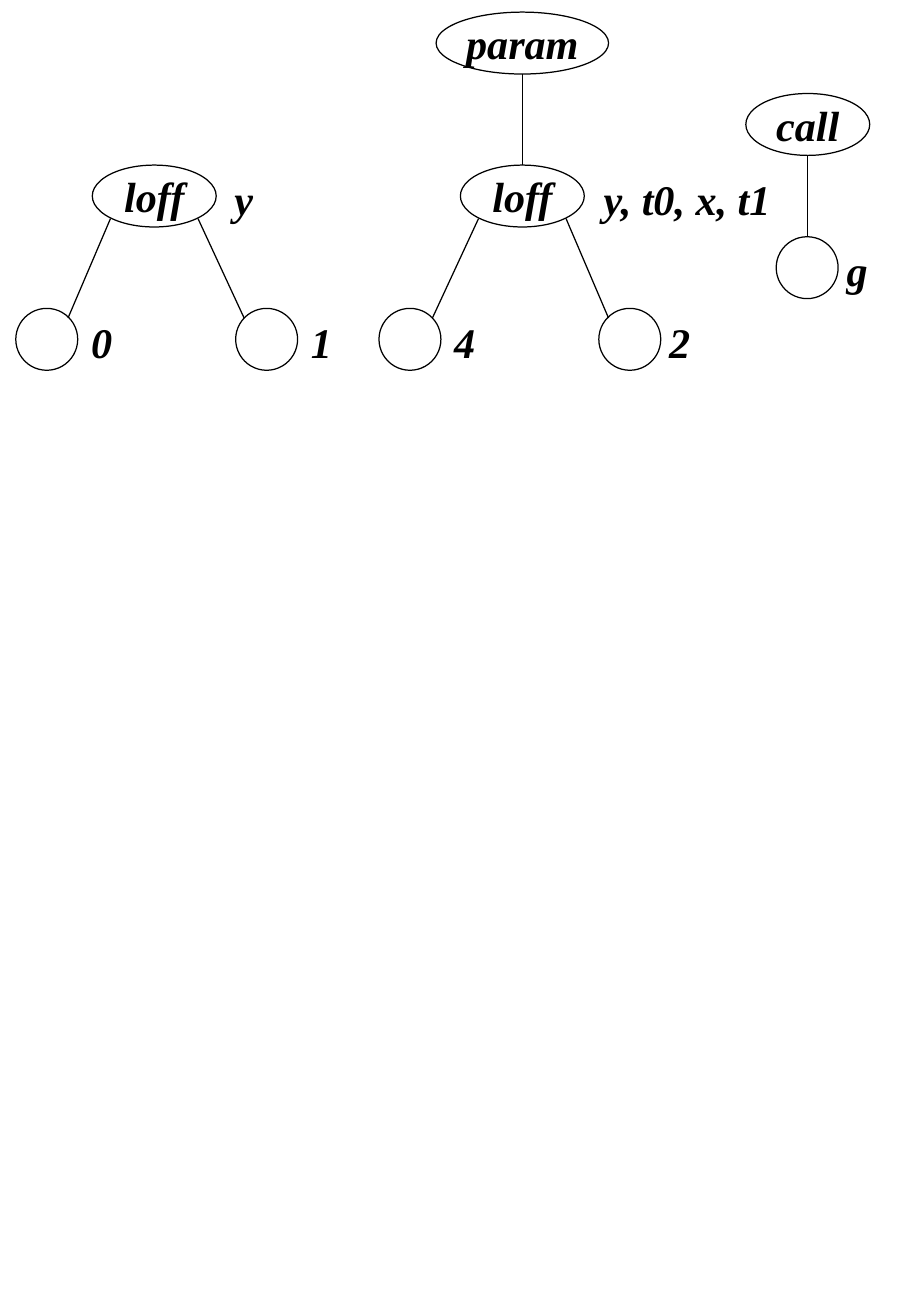
from pptx import Presentation
from pptx import util as u
from pptx.dml.color import RGBColor
from pptx.enum import shapes, text
from pptx.oxml.ns import qn
from lxml import etree

COLORS = {"ink": "000000"}
INK = RGBColor.from_string(COLORS["ink"])
SIDE = 0.51  # height of every node, and width of a leaf

deck = Presentation()
deck.slide_width, deck.slide_height = u.Inches(7.5), u.Inches(10.84)
slide = deck.slides.add_slide(deck.slide_layouts[6])


def write(shape, words, align, inset):
    frame = shape.text_frame
    frame.vertical_anchor = text.MSO_ANCHOR.MIDDLE
    frame.margin_left = frame.margin_right = u.Inches(inset)
    frame.margin_top = frame.margin_bottom = u.Inches(0.05)
    para = frame.paragraphs[0]
    para.alignment = align
    run = para.add_run()
    run.text = words
    font = run.font
    font.name, font.size = "Times New Roman", u.Pt(25)
    font.bold = font.italic = True
    font.color.rgb = INK


def node(left, top, width, words=""):
    oval = slide.shapes.add_shape(
        shapes.MSO_SHAPE.OVAL, *map(u.Inches, (left, top, width, SIDE)))
    oval.shadow.inherit = False
    oval.fill.background()
    oval.line.color.rgb = INK
    oval.line.width = u.Pt(0.75)
    if words:
        oval.text_frame.word_wrap = False
        write(oval, words, text.PP_ALIGN.CENTER, 0.1)


# Edges: x1, y1, x2, y2
edges = [
    (0.91, 1.8, 0.56, 2.62), (1.63, 1.8, 2.01, 2.62),
    (3.94, 1.8, 3.56, 2.62), (4.66, 1.8, 5.01, 2.62),
    (4.3, 0.61, 4.3, 1.36), (6.65, 1.28, 6.65, 1.95),
]
for edge in edges:
    line = slide.shapes.add_connector(
        shapes.MSO_CONNECTOR.STRAIGHT, *map(u.Inches, edge))
    line.line.color.rgb = INK
    line.line.width = u.Pt(0.75)
    etree.SubElement(line._element.spPr, qn("a:effectLst"))

# Operator nodes
for left, top, width, words in [
    (0.76, 1.36, 1.02, "loff"), (3.79, 1.36, 1.02, "loff"),
    (3.59, 0.1, 1.42, "param"), (6.14, 0.77, 1.02, "call"),
]:
    node(left, top, width, words)

# Leaf nodes
for left, top in [(0.13, 2.54), (1.94, 2.54), (3.12, 2.54),
                  (4.93, 2.54), (6.39, 1.95)]:
    node(left, top, SIDE)

# Labels beside the nodes
for left, top, width, words in [
    (1.82, 1.4, 1.06, "y"), (4.86, 1.4, 1.65, "y, t0, x, t1"),
    (0.64, 2.58, 1.06, "0"), (2.45, 2.58, 0.43, "1"),
    (3.63, 2.58, 1.06, "4"), (5.4, 2.58, 0.43, "2"),
    (6.86, 1.99, 0.43, "g"),
]:
    label = slide.shapes.add_textbox(*map(u.Inches, (left, top, width, 0.47)))
    label.text_frame.word_wrap = True
    write(label, words, text.PP_ALIGN.LEFT, 0.11)

deck.save("out.pptx")
